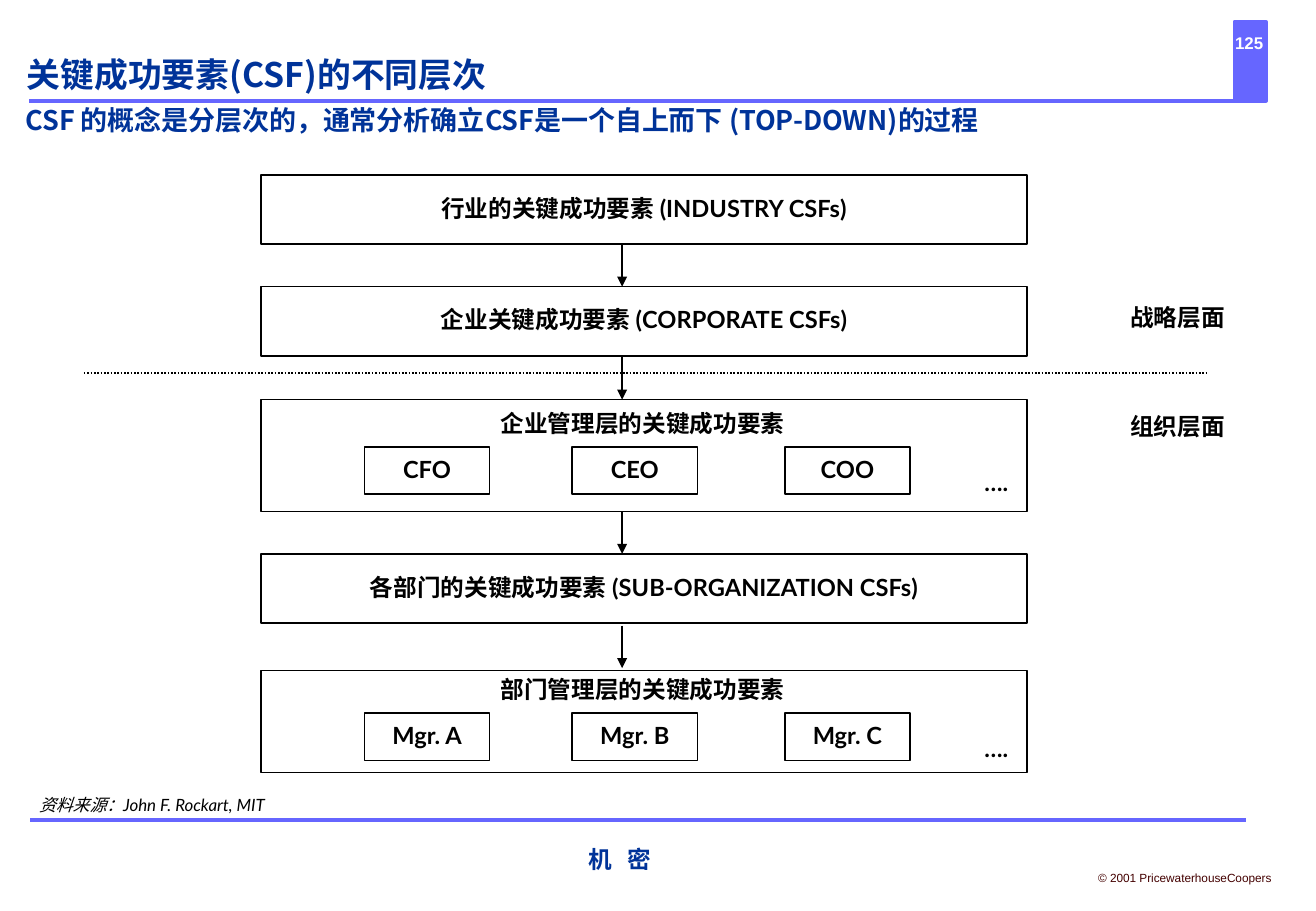
from lxml import etree
from pptx import Presentation
from pptx.dml.color import RGBColor
from pptx.enum.dml import MSO_LINE
from pptx.enum.shapes import MSO_CONNECTOR, MSO_SHAPE
from pptx.enum.text import MSO_ANCHOR, MSO_AUTO_SIZE, PP_ALIGN
from pptx.oxml.ns import qn
from pptx.util import Pt

PX = 9144  # 100 px to the inch
RECT, STRAIGHT = MSO_SHAPE.RECTANGLE, MSO_CONNECTOR.STRAIGHT
LEFT, CENTER = PP_ALIGN.LEFT, PP_ALIGN.CENTER
MIDDLE, BOTTOM = MSO_ANCHOR.MIDDLE, MSO_ANCHOR.BOTTOM
DOTTED = MSO_LINE.ROUND_DOT
CJK, LATIN, ARIAL = "Noto Sans CJK SC", "Lato", "Arial"
BLACK, WHITE, NAVY, VIOLET, MAROON = "000000", "FFFFFF", "003399", "6666FF", "440000"


def rgb(value):
    return RGBColor.from_string(value)


def px(*lengths):
    return [n * PX for n in lengths]


def write(sp, text, size=14, font=LATIN, color=BLACK, bold=True, italic=False,
          align=CENTER, anchor=MIDDLE, margins=(10, 5), wrap=False, spacing=0.9):
    tf = sp.text_frame
    tf.auto_size = MSO_AUTO_SIZE.NONE
    tf.word_wrap = wrap
    tf.vertical_anchor = anchor
    tf.margin_left = tf.margin_right = margins[0] * PX
    tf.margin_top = tf.margin_bottom = margins[1] * PX
    p = tf.paragraphs[0]
    p.text = text
    p.alignment = align
    p.line_spacing = spacing
    f = p.font
    f.name, f.size, f.bold, f.italic = font, Pt(size), bold, italic
    f.color.rgb = rgb(color)
    # East Asian typeface
    ea = etree.SubElement(p._p.pPr.find(qn("a:defRPr")), qn("a:ea"))
    ea.set("typeface", CJK)
    return p


def label(s, box, text, **style):
    return write(s.shapes.add_textbox(*px(*box)), text, **style)


def rect(s, box, text=None, fill=None, line=BLACK, width=1):
    sp = s.shapes.add_shape(RECT, *px(*box))
    sp.shadow.inherit = False
    if fill:
        sp.fill.solid()
        sp.fill.fore_color.rgb = rgb(fill)
    else:
        sp.fill.background()
    sp.line.color.rgb = rgb(line)
    sp.line.width = Pt(width)
    if text:
        write(sp, text)


def rule(s, x1, y1, x2, y2, color=BLACK, width=1, dash=None, arrow=False):
    c = s.shapes.add_connector(STRAIGHT, *px(x1, y1, x2, y2))
    c.line.color.rgb = rgb(color)
    c.line.width = Pt(width)
    if dash:
        c.line.dash_style = dash
    if arrow:
        etree.SubElement(c.line._get_or_add_ln(), qn("a:tailEnd")).set("type", "triangle")
    etree.SubElement(c._element.spPr, qn("a:effectLst"))


def header(s, box):
    x, y, w, h = box
    rect(s, (x + w - 26, y, 26, h), fill=VIOLET, line=VIOLET, width=2.25)
    rule(s, x + 2, y + h, x + w - 14, y + h, color=VIOLET, width=2.25)
    label(s, (x + w - 49, y + 7, 70, 20), "125", size=10, font=ARIAL,
          color=WHITE, margins=(0, 0), spacing=1)
    heading = dict(font=CJK, color=NAVY, align=LEFT, anchor=BOTTOM,
                   margins=(0, 0), wrap=True, spacing=1)
    title = s.shapes.title
    title.left, title.top, title.width, title.height = px(x, y, w - 49, 60)
    write(title, "关键成功要素(CSF)的不同层次", size=20, **heading)
    label(s, (x - 1, y + 68, w - 23, 26),
          "CSF 的概念是分层次的，通常分析确立CSF是一个自上而下 (TOP-DOWN)的过程",
          size=16, **heading)


def manager_box(s, box, text, managers):
    x, y, w, h = box
    mid = y + h // 2
    rect(s, box)
    label(s, (x + 187, mid - 41, 254, 31), text)
    for dx, name in zip((85, 256, 431), managers):
        rect(s, (x + dx, mid - 7, 103, 39), name)
    label(s, (x + w - 48, mid + 8, 46, 31), "….")


def hierarchy(s, box):
    x, y, w, _ = box
    levels = [
        (0, 57, "行业的关键成功要素 (INDUSTRY CSFs)", None),
        (92, 57, "企业关键成功要素 (CORPORATE CSFs)", None),
        (185, 92, "企业管理层的关键成功要素", ("CFO", "CEO", "COO")),
        (312, 57, "各部门的关键成功要素 (SUB-ORGANIZATION CSFs)", None),
        (408, 84, "部门管理层的关键成功要素", ("Mgr. A", "Mgr. B", "Mgr. C")),
    ]
    for dy, h, text, managers in levels:
        if managers:
            manager_box(s, (x, y + dy, w, h), text, managers)
        else:
            rect(s, (x, y + dy, w, h), text)
    # Arrows of equal length, centred in the gaps
    for (dy, h, *_), (below, *_) in zip(levels, levels[1:]):
        top = y + (dy + h + below - 35 + 1) // 2
        rule(s, x + 297, top, x + 297, top + 35, arrow=True)


def layers(s, box):
    x, y, w, h = box
    split = y + h // 2
    rule(s, x, split, x + w, split, dash=DOTTED)
    for top, text in ((y, "战略层面"), (y + h - 31, "组织层面")):
        label(s, (x + w - 73, top, 98, 31), text)


def footer(s, box):
    x, y, w, _ = box
    label(s, (x - 7, y, 214, 25), "资料来源：John F. Rockart, MIT",
          size=10, bold=False, italic=True)
    rule(s, x, y + 24, x + w, y + 24, color=VIOLET, width=2.25)
    p = label(s, (x + 449, y + 39, 72, 34), "机 密", font=ARIAL, color=NAVY, spacing=1)
    p.runs[0]._r.get_or_add_rPr().set("spc", "300")
    label(s, (x + 869, y + 61, 162, 22), "© 2001 PricewaterhouseCoopers",
          size=7, font=ARIAL, color=MAROON, bold=False, spacing=1)


def main():
    prs = Presentation()
    prs.slide_width, prs.slide_height = px(1083, 750)
    s = prs.slides.add_slide(prs.slide_layouts[5])
    header(s, (22, 18, 1020, 65))
    hierarchy(s, (215, 144, 630, 492))
    layers(s, (69, 247, 924, 121))
    footer(s, (25, 651, 1000, 83))
    prs.save("out.pptx")


if __name__ == "__main__":
    main()
